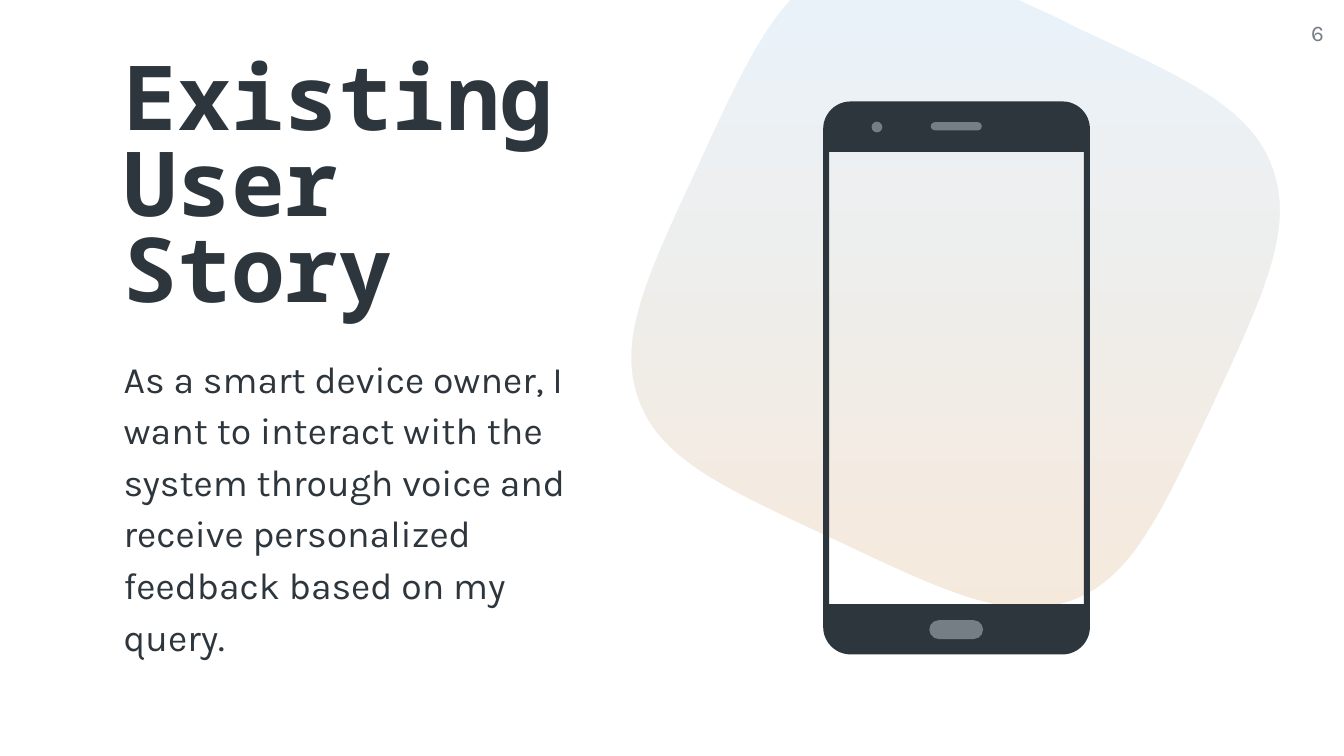
from dataclasses import dataclass
from math import cos, pi, sin

from pptx import Presentation
from pptx.dml.color import RGBColor
from pptx.enum.shapes import MSO_SHAPE as Preset
from pptx.enum.text import MSO_ANCHOR as Anchor, PP_ALIGN as Align
from pptx.util import Pt

PX = 4572  # EMU per px, 200 px to the inch
WIDTH, HEIGHT = 2000, 1125


@dataclass(frozen=True)
class Theme:
    ink: RGBColor = RGBColor.from_string("2E363D")
    grey: RGBColor = RGBColor.from_string("767E85")
    white: RGBColor = RGBColor.from_string("FFFFFF")
    sky: RGBColor = RGBColor.from_string("E9F2F9")
    peach: RGBColor = RGBColor.from_string("F8E7D5")
    title_font: str = "Noto Sans Mono"
    body_font: str = "Karla"
    title_size: int = 48
    body_size: int = 20
    number_size: int = 12


THEME = Theme()

WINDOW_START = (1516, 0)
WINDOW_CURVES = [
    ((1542, 12), (1570, 24), (1600, 40)),
    ((1768, 118), (1862, 160), (1894, 250)),
    ((1926, 340), (1884, 432), (1806, 600)),
    ((1726, 768), (1684, 862), (1594, 894)),
    ((1504, 926), (1412, 884), (1244, 804)),
    ((1076, 726), (982, 684), (950, 594)),
    ((918, 504), (962, 412), (1040, 244)),
    ((1092, 130), (1130, 50), (1176, 0)),
]


def curve_points(start, curves, steps=24):
    """Sample a chain of cubic Bézier curves."""
    points = [start]
    for first, second, end in curves:
        for step in range(1, steps + 1):
            t = step / steps
            weights = ((1 - t) ** 3, 3 * t * (1 - t) ** 2, 3 * t * t * (1 - t), t ** 3)
            controls = (start, first, second, end)
            points.append(tuple(
                sum(weight * control[axis] for weight, control in zip(weights, controls))
                for axis in (0, 1)
            ))
        start = end
    return points


def rounded_points(left, top, width, height, radius, steps=12):
    """Outline of a rounded rectangle, clockwise from its top right corner."""
    right, bottom = left + width - radius, top + height - radius
    left, top = left + radius, top + radius
    corners = [(right, top), (right, bottom), (left, bottom), (left, top)]
    points = []
    for quarter, (x, y) in enumerate(corners):
        for step in range(steps + 1):
            angle = (quarter - 1 + step / steps) * pi / 2
            points.append((x + radius * cos(angle), y + radius * sin(angle)))
    return points


def paint(shape, color):
    shape.shadow.inherit = False
    shape.fill.solid()
    shape.fill.fore_color.rgb = color
    shape.line.fill.background()


def add_outline(slide, contours, color):
    """Draw one filled shape from closed contours; inner ones are holes."""
    contours = [[(round(x * PX), round(y * PX)) for x, y in contour] for contour in contours]
    builder = slide.shapes.build_freeform(*contours[0][0], scale=1.0)
    for index, contour in enumerate(contours):
        if index:
            builder.move_to(*contour[0])
        builder.add_line_segments(contour[1:], close=True)
    paint(builder.convert_to_shape(), color)


def add_text_frame(slide, left, top, width, height):
    box = slide.shapes.add_textbox(left * PX, top * PX, width * PX, height * PX)
    frame = box.text_frame
    frame.word_wrap = True
    frame.margin_left = frame.margin_right = frame.margin_top = frame.margin_bottom = 0
    return frame


def write(paragraph, text, font_name, size, color, bold=False):
    paragraph.text = text
    font = paragraph.font
    font.name, font.size, font.bold = font_name, Pt(size), bold
    font.color.rgb = color


def add_backdrop(slide):
    """Gradient background seen through a window in a white sheet."""
    fill = slide.background.fill
    fill.gradient()
    fill.gradient_angle = 270
    for stop, color in zip(fill.gradient_stops, (THEME.sky, THEME.peach)):
        stop.color.rgb = color
    sheet = curve_points(WINDOW_START, WINDOW_CURVES)
    sheet += [(0, 0), (0, HEIGHT), (WIDTH, HEIGHT), (WIDTH, 0)]
    add_outline(slide, [sheet], THEME.white)


def add_story(slide, left, top, width, height):
    frame = add_text_frame(slide, left, top, width, height)
    frame.vertical_anchor = Anchor.BOTTOM
    title = frame.paragraphs[0]
    write(title, "Existing User Story", THEME.title_font, THEME.title_size, THEME.ink, bold=True)
    title.line_spacing = 0.8
    story = frame.add_paragraph()
    write(
        story,
        "As a smart device owner, I want to interact with the system through voice "
        "and receive personalized feedback based on my query.",
        THEME.body_font, THEME.body_size, THEME.ink,
    )
    story.line_spacing = 1.15
    story.space_before = story.space_after = Pt(16)


def add_page_number(slide, left, top, width, height):
    paragraph = add_text_frame(slide, left, top, width, height).paragraphs[0]
    write(paragraph, "6", THEME.body_font, THEME.number_size, THEME.grey)
    paragraph.alignment = Align.RIGHT


def add_phone(slide, left, top, width, height):
    """Phone body with an open screen, and its three details."""
    side, bar = 9, 75
    body = rounded_points(left, top, width, height, radius=41)
    x1, x2 = left + side, left + width - side
    y1, y2 = top + bar, top + height - bar
    screen = [(x1, y1), (x1, y2), (x2, y2), (x2, y1)]
    add_outline(slide, [body, screen], THEME.ink)

    home, camera, speaker = (158, 772, 80, 28), (72, 30, 16, 16), (160, 31, 76, 12)
    for x, y, detail_width, detail_height in (home, camera, speaker):
        detail = slide.shapes.add_shape(
            Preset.ROUNDED_RECTANGLE, (left + x) * PX, (top + y) * PX,
            detail_width * PX, detail_height * PX,
        )
        detail.adjustments[0] = 0.5
        paint(detail, THEME.grey)


def main():
    presentation = Presentation()
    presentation.slide_width, presentation.slide_height = WIDTH * PX, HEIGHT * PX
    slide = presentation.slides.add_slide(presentation.slide_layouts[6])
    add_backdrop(slide)
    add_story(slide, 184, 180, 658, 800)
    add_page_number(slide, 1850, 28, 120, 86)
    add_phone(slide, 1225, 151, 397, 823)
    presentation.save("out.pptx")


if __name__ == "__main__":
    main()
